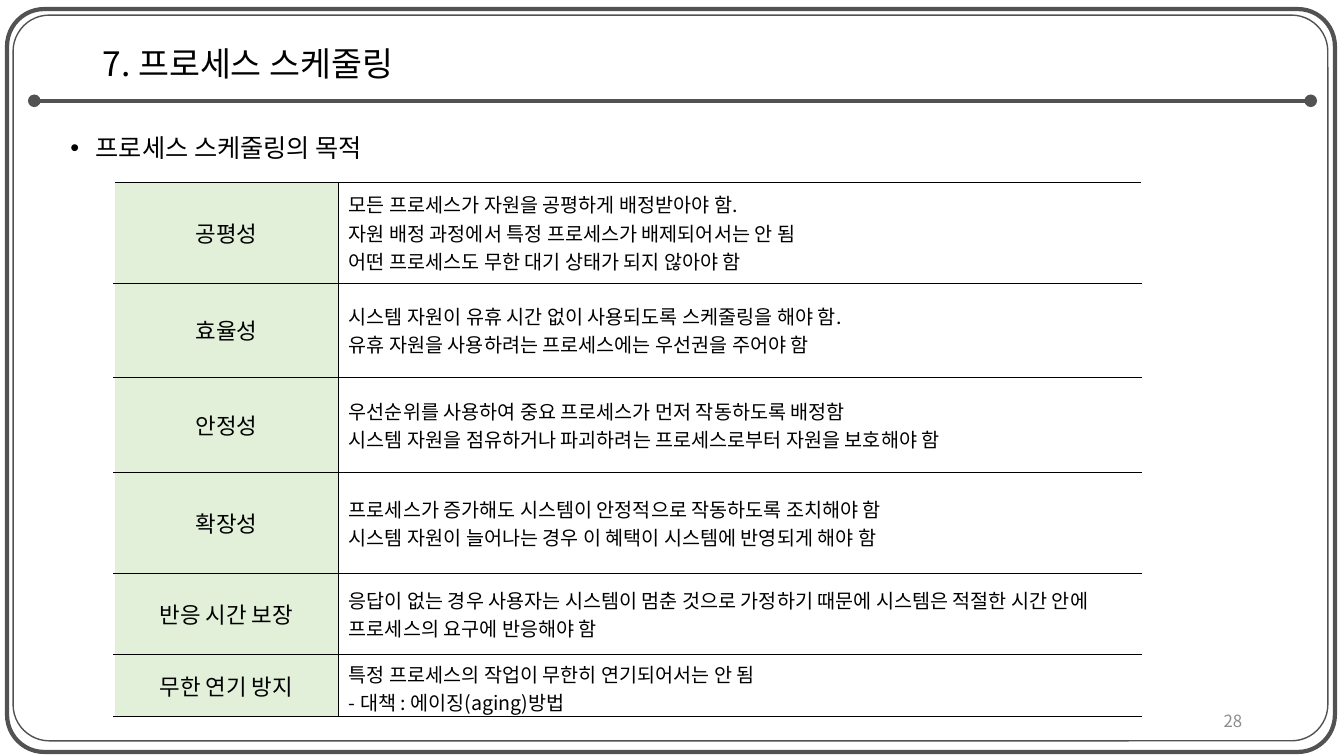
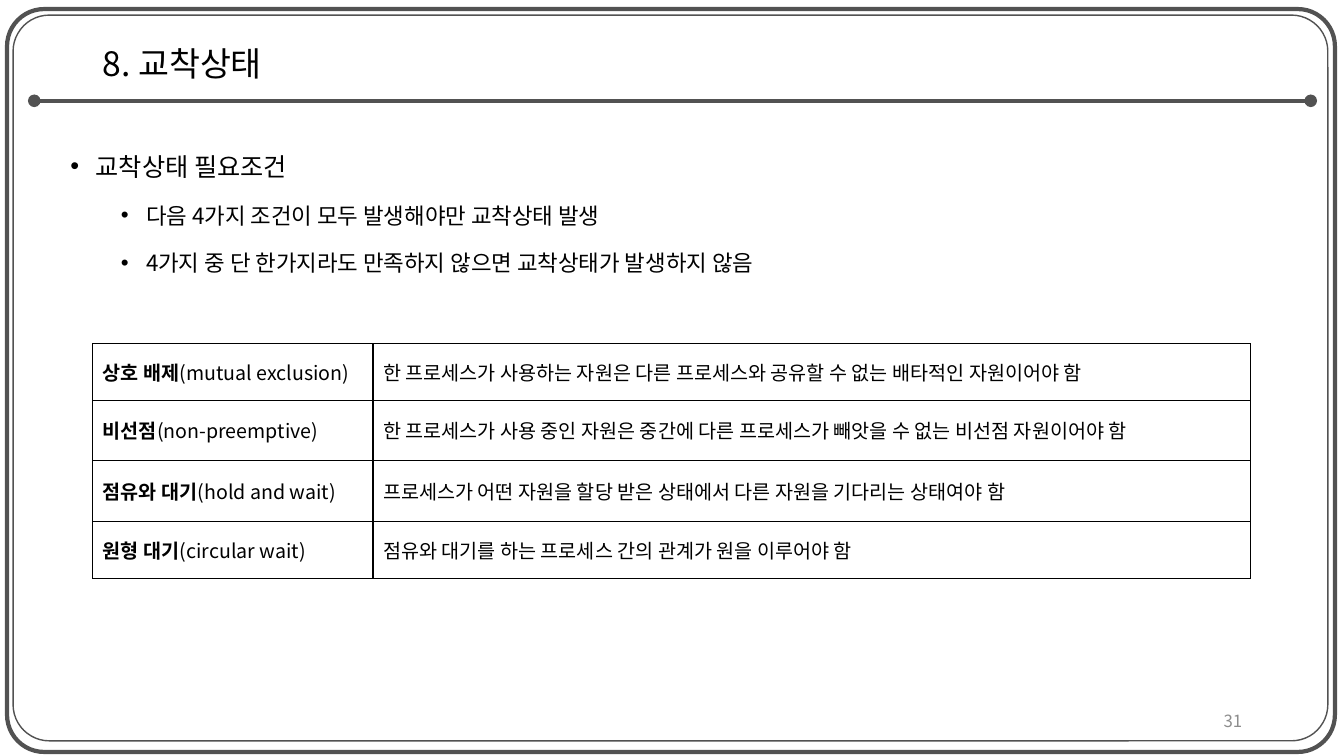
from lxml.etree import SubElement
from pptx import Presentation
from pptx.dml.color import RGBColor
from pptx.enum.shapes import MSO_CONNECTOR, MSO_SHAPE
from pptx.enum.text import MSO_ANCHOR, PP_ALIGN
from pptx.oxml.ns import qn
from pptx.util import Inches, Pt

THEME = {
    "font": "Noto Sans CJK KR",
    "text": "000000", "frame": "525252", "number": "8C8C8C",
    "label": "E2F0D9", "paper": "FFFFFF",
    "title_size": 24, "bullet_sizes": [18, 16], "label_size": 16,
    "cell_size": 14, "number_size": 12,
}

# Content: each table row is a label (list of spans) and its lines of text
PURPOSES = [
    (["공평성"], ["모든 프로세스가 자원을 공평하게 배정받아야 함.",
               "자원 배정 과정에서 특정 프로세스가 배제되어서는 안 됨",
               "어떤 프로세스도 무한 대기 상태가 되지 않아야 함"]),
    (["효율성"], ["시스템 자원이 유휴 시간 없이 사용되도록 스케줄링을 해야 함.",
               "유휴 자원을 사용하려는 프로세스에는 우선권을 주어야 함"]),
    (["안정성"], ["우선순위를 사용하여 중요 프로세스가 먼저 작동하도록 배정함",
               "시스템 자원을 점유하거나 파괴하려는 프로세스로부터 자원을 보호해야 함"]),
    (["확장성"], ["프로세스가 증가해도 시스템이 안정적으로 작동하도록 조치해야 함",
               "시스템 자원이 늘어나는 경우 이 혜택이 시스템에 반영되게 해야 함"]),
    (["반응 시간 보장"], ["응답이 없는 경우 사용자는 시스템이 멈춘 것으로 가정하기 때문에 "
                    "시스템은 적절한 시간 안에 프로세스의 요구에 반응해야 함"]),
    (["무한 연기 방지"], ["특정 프로세스의 작업이 무한히 연기되어서는 안 됨",
                    "- 대책 : 에이징(aging)방법"]),
]
CONDITIONS = [
    (["상호 배제", "(mutual exclusion)"],
     ["한 프로세스가 사용하는 자원은 다른 프로세스와 공유할 수 없는 배타적인 자원이어야 함"]),
    (["비선점", "(non-preemptive)"],
     ["한 프로세스가 사용 중인 자원은 중간에 다른 프로세스가 빼앗을 수 없는 비선점 자원이어야 함"]),
    (["점유와 대기", "(hold and wait)"],
     ["프로세스가 어떤 자원을 할당 받은 상태에서 다른 자원을 기다리는 상태여야 함"]),
    (["원형 대기", "(circular wait)"],
     ["점유와 대기를 하는 프로세스 간의 관계가 원을 이루어야 함"]),
]
PAGES = [
    {"title": "7. 프로세스 스케줄링", "number": "28", "spacing": 0.9,
     "bullets": [(0, "프로세스 스케줄링의 목적")],
     "rows": PURPOSES, "at": (1.13, 1.81), "columns": [2.23, 7.96],
     "heights": [1, 0.93, 0.95, 1, 0.8, 0.62], "shaded": True},
    {"title": "8. 교착상태", "number": "31", "spacing": 1.5,
     "bullets": [(0, "교착상태 필요조건"),
                 (1, "다음 4가지 조건이 모두 발생해야만 교착상태 발생"),
                 (1, "4가지 중 단 한가지라도 만족하지 않으면 교착상태가 발생하지 않음")],
     "rows": CONDITIONS, "at": (0.92, 3.41), "columns": [2.78, 8.7],
     "heights": [0.56, 0.6, 0.6, 0.57], "shaded": False},
]


def add_span(para, text, size, color=THEME["text"], bold=False):
    span = para.add_run()
    span.text = text
    span.font.size = Pt(size)
    span.font.bold = bold
    span.font.color.rgb = RGBColor.from_string(color)
    span.font.name = THEME["font"]
    SubElement(span.font._element, qn("a:ea"), typeface=THEME["font"])


def add_box(page, left, top, width, height, anchor):
    box = page.shapes.add_textbox(
        Inches(left), Inches(top), Inches(width), Inches(height))
    box.text_frame.word_wrap = True
    box.text_frame.vertical_anchor = anchor
    return box.text_frame


deck = Presentation()
deck.slide_width, deck.slide_height = Inches(13.33), Inches(7.5)

for content in PAGES:
    page = deck.slides.add_slide(deck.slide_layouts[6])

    # Double rounded frame
    for left, top, width, height, weight in [(0.13, 0.15, 13.04, 7.2, 1),
                                             (0.07, 0.09, 13.17, 7.37, 3)]:
        frame = page.shapes.add_shape(
            MSO_SHAPE.ROUNDED_RECTANGLE,
            Inches(left), Inches(top), Inches(width), Inches(height))
        frame.adjustments[0] = 0.05
        frame.shadow.inherit = False
        frame.fill.background()
        frame.line.color.rgb = RGBColor.from_string(THEME["frame"])
        frame.line.width = Pt(weight)

    # Rule under the title, with round ends
    rule = page.shapes.add_connector(
        MSO_CONNECTOR.STRAIGHT, Inches(0.34), Inches(1), Inches(13), Inches(1))
    rule.line.color.rgb = RGBColor.from_string(THEME["frame"])
    rule.line.width = Pt(3)
    for end in ("a:headEnd", "a:tailEnd"):
        SubElement(rule.line._get_or_add_ln(), qn(end), type="oval")
    SubElement(rule._element.spPr, qn("a:effectLst"))

    # Title
    para = add_box(page, 0.92, 0.3, 11.5, 0.7, MSO_ANCHOR.MIDDLE).paragraphs[0]
    para.line_spacing = 0.9
    add_span(para, content["title"], THEME["title_size"])

    # Bullets
    body = add_box(page, 0.6, 1.3, 12.11, 5.46, MSO_ANCHOR.TOP)
    for index, (level, text) in enumerate(content["bullets"]):
        para = body.add_paragraph() if index else body.paragraphs[0]
        properties = para._p.get_or_add_pPr()
        properties.set("marL", str(Inches(0.25 + 0.5 * level)))
        properties.set("indent", str(Inches(-0.25)))
        SubElement(properties, qn("a:buFont"), typeface="Arial")
        SubElement(properties, qn("a:buChar"), char="•")
        para.level = level
        para.line_spacing = content["spacing"]
        if index:
            para.space_before = Pt(5)
        add_span(para, text, THEME["bullet_sizes"][level])

    # Table
    rows, shaded = content["rows"], content["shaded"]
    left, top = content["at"]
    table = page.shapes.add_table(
        len(rows), 2, Inches(left), Inches(top),
        Inches(sum(content["columns"])), Inches(sum(content["heights"]))).table
    table.first_row = table.horz_banding = False
    for column, width in zip(table.columns, content["columns"]):
        column.width = Inches(width)
    for row, height, (label, lines) in zip(table.rows, content["heights"], rows):
        row.height = Inches(height)
        for cell, outer_side in zip(row.cells, ("a:lnL", "a:lnR")):
            cell.vertical_anchor = MSO_ANCHOR.MIDDLE
            for side in ("a:lnL", "a:lnR", "a:lnT", "a:lnB"):
                open_side = shaded and side == outer_side
                weight = 0.5 if shaded and not open_side else 1
                border = SubElement(cell._tc.get_or_add_tcPr(), qn(side), w=str(Pt(weight)))
                fill = SubElement(border, qn("a:solidFill"))
                SubElement(fill, qn("a:srgbClr"),
                           val=THEME["paper" if open_side else "text"])

        label_cell, text_cell = row.cells
        for cell, color in ((label_cell, "label"), (text_cell, "paper")):
            if shaded:
                cell.fill.solid()
                cell.fill.fore_color.rgb = RGBColor.from_string(THEME[color])
            else:
                cell.fill.background()

        para = label_cell.text_frame.paragraphs[0]
        para.alignment = PP_ALIGN.CENTER if shaded else PP_ALIGN.LEFT
        for index, text in enumerate(label):
            add_span(para, text, THEME["label_size" if shaded else "cell_size"],
                     bold=not shaded and index == 0)
        for index, text in enumerate(lines):
            frame = text_cell.text_frame
            para = frame.add_paragraph() if index else frame.paragraphs[0]
            add_span(para, text, THEME["cell_size"])

    # Page number
    para = add_box(page, 9.42, 6.95, 3, 0.4, MSO_ANCHOR.MIDDLE).paragraphs[0]
    para.alignment = PP_ALIGN.RIGHT
    add_span(para, content["number"], THEME["number_size"], THEME["number"])

deck.save("out.pptx")
